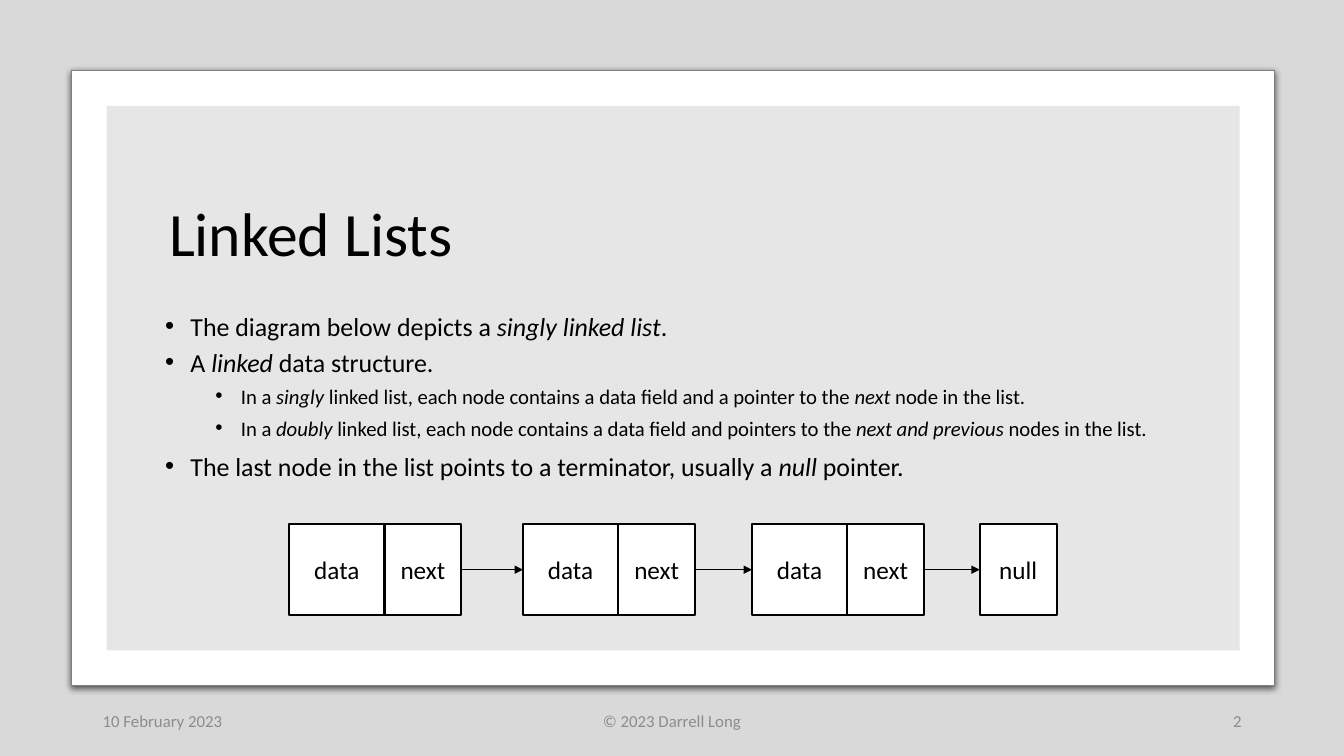
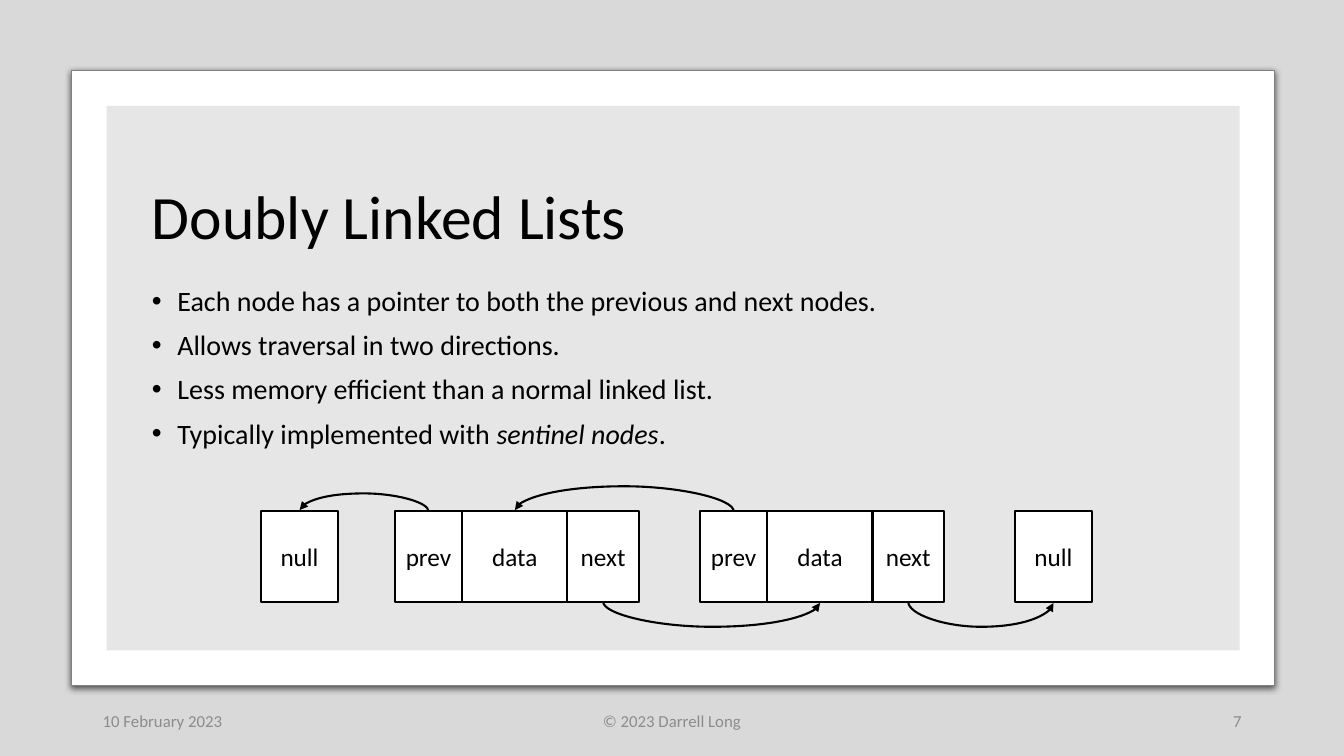
from lxml.etree import SubElement
from pptx import Presentation
from pptx.dml.color import RGBColor
from pptx.enum.shapes import MSO_CONNECTOR as Link, MSO_SHAPE as Preset
from pptx.enum.text import MSO_ANCHOR as Anchor, PP_ALIGN as Align
from pptx.oxml import parse_xml
from pptx.oxml.ns import nsdecls, qn
from pptx.util import Cm, Pt

BLACK = RGBColor(0x00, 0x00, 0x00)
WHITE = RGBColor(0xFF, 0xFF, 0xFF)
BACKDROP = RGBColor(0xD9, 0xD9, 0xD9)
PANEL = RGBColor(0xE7, 0xE6, 0xE6)
EDGE = RGBColor(0x80, 0x80, 0x80)
FOOTER = RGBColor(0x8C, 0x8C, 0x8C)

FOOTER_TOP, FOOTER_HEIGHT = 17.65, 1.02
TEXT_WIDTH, TITLE_HEIGHT = 26.77, 3.96
CELL_HEIGHT = 2.31
HANGING = 0.64
CURVE_DEPTH = 0.03


def write(shape, text, size=18, color=BLACK, align=Align.LEFT, anchor=Anchor.MIDDLE,
          spacing=1.0, before=0, bullet_indent=None, level=0):
    frame = shape.text_frame
    frame.word_wrap = True
    frame.vertical_anchor = anchor
    paragraph = frame.paragraphs[0]
    if paragraph.runs:
        paragraph = frame.add_paragraph()
        paragraph.space_before = Pt(before)
    paragraph.alignment = align
    paragraph.line_spacing = spacing
    paragraph.level = level
    if bullet_indent is not None:
        properties = paragraph._p.get_or_add_pPr()
        properties.set("marL", str(Cm(bullet_indent)))
        properties.set("indent", str(-Cm(HANGING)))
        bullet_color = SubElement(properties, qn("a:buClr"))
        SubElement(bullet_color, qn("a:srgbClr"), val=str(color))
        SubElement(properties, qn("a:buFont"), typeface="Arial")
        SubElement(properties, qn("a:buChar"), char="•")
    for position, part in enumerate(text.split("*")):
        if part:
            run = paragraph.add_run()
            run.text = part
            run.font.name = "Calibri"
            run.font.size = Pt(size)
            run.font.color.rgb = color
            run.font.italic = position % 2 == 1


def make_arrow(connector, width):
    connector.line.color.rgb = BLACK
    connector.line.width = Pt(width)
    SubElement(connector.line._get_or_add_ln(), qn("a:tailEnd"), type="triangle")
    SubElement(connector._element.spPr, qn("a:effectLst"))


single_node = [("data", 2.4), ("next", 1.94)]
double_node = [("prev", 1.7), ("data", 2.65), ("next", 1.8)]
null_node = [("null", 1.94)]

topics = [
    {
        "title": "Linked Lists", "title_at": (4.01, 3.99), "number": "2",
        "points_box": (7.92, 4.65), "sizes": (18.5, 14.8), "indents": (0.97, 2.24),
        "spacing": 0.7,
        "points": [
            (0, 10, "The diagram below depicts a *singly linked list*."),
            (0, 10, "A *linked *data structure."),
            (1, 10, "In a *singly* linked list, each node contains a data field "
                    "and a pointer to the *next* node in the list."),
            (1, 10, "In a *doubly *linked list, each node contains a data field "
                    "and pointers to the *next and previous *nodes in the list."),
            (0, 14.2, "The last node in the list points to a terminator, "
                      "usually a *null* pointer."),
        ],
        "row_top": 13.2,
        "nodes": [(7.29, single_node), (13.18, single_node),
                  (18.95, single_node), (24.69, null_node)],
        "straight": [(1, 2), (3, 4), (5, 6)], "curved": [],
    },
    {
        "title": "Doubly Linked Lists", "title_at": (3.58, 3.56), "number": "7",
        "points_box": (7.11, 8.36), "sizes": (20,), "indents": (HANGING,),
        "spacing": 0.9,
        "points": [
            (0, 10, "Each node has a pointer to both the previous and next nodes."),
            (0, 10, "Allows traversal in two directions."),
            (0, 10, "Less memory efficient than a normal linked list."),
            (0, 10, "Typically implemented with *sentinel nodes*."),
        ],
        "row_top": 12.87,
        "nodes": [(6.58, null_node), (9.95, double_node),
                  (17.64, double_node), (25.58, null_node)],
        "straight": [],
        "curved": [(1, 0, 0.45), (4, 2, 0.63), (3, 5, 0.63), (6, 7, 0.63)],
    },
]

deck = Presentation()
deck.slide_width, deck.slide_height = Cm(33.87), Cm(19.05)

for topic in topics:
    slide = deck.slides.add_slide(deck.slide_layouts[6])
    shapes = slide.shapes
    slide.background.fill.solid()
    slide.background.fill.fore_color.rgb = BACKDROP

    card = shapes.add_shape(Preset.RECTANGLE, Cm(1.8), Cm(1.78), Cm(30.33), Cm(15.49))
    panel = shapes.add_shape(Preset.RECTANGLE, Cm(2.69), Cm(2.67), Cm(28.55), Cm(13.72))
    for sheet, color in ((card, WHITE), (panel, PANEL)):
        sheet.shadow.inherit = False
        sheet.fill.solid()
        sheet.fill.fore_color.rgb = color
    card.line.color.rgb = EDGE
    card.line.width = Pt(0.75)
    panel.line.fill.background()
    card._element.spPr.find(qn("a:effectLst")).append(parse_xml(
        f'<a:outerShdw {nsdecls("a")} blurRad="{Pt(4.5)}" dist="{Pt(1.5)}" dir="5400000">'
        '<a:srgbClr val="000000"><a:alpha val="63000"/></a:srgbClr></a:outerShdw>'))

    left, top = topic["title_at"]
    title = shapes.add_textbox(Cm(left), Cm(top), Cm(TEXT_WIDTH), Cm(TITLE_HEIGHT))
    write(title, topic["title"], size=44, spacing=0.9)

    top, height = topic["points_box"]
    points = shapes.add_textbox(Cm(3.58), Cm(top), Cm(TEXT_WIDTH), Cm(height))
    for level, before, text in topic["points"]:
        write(points, text, size=topic["sizes"][level], anchor=Anchor.TOP,
              spacing=topic["spacing"], before=before,
              bullet_indent=topic["indents"][level], level=level)

    for left, width, text, align in (
        (2.34, 7.62, "10 February 2023", Align.LEFT),
        (11.22, 11.43, "© 2023 Darrell Long", Align.CENTER),
        (23.92, 7.62, topic["number"], Align.RIGHT),
    ):
        footer = shapes.add_textbox(Cm(left), Cm(FOOTER_TOP), Cm(width), Cm(FOOTER_HEIGHT))
        write(footer, text, size=12, color=FOOTER, align=align)

    cells = []
    for left, fields in topic["nodes"]:
        for label, width in fields:
            cell = shapes.add_shape(Preset.RECTANGLE, Cm(left), Cm(topic["row_top"]),
                                    Cm(width), Cm(CELL_HEIGHT))
            cell.shadow.inherit = False
            cell.fill.solid()
            cell.fill.fore_color.rgb = WHITE
            cell.line.color.rgb = BLACK
            cell.line.width = Pt(1.5)
            cell.text_frame.margin_left = cell.text_frame.margin_right = 0
            write(cell, label, align=Align.CENTER)
            cells.append(cell)
            left += width

    for source, target in topic["straight"]:
        pointer = shapes.add_connector(Link.STRAIGHT, 0, 0, 0, 0)
        pointer.begin_connect(cells[source], 3)
        pointer.end_connect(cells[target], 1)
        make_arrow(pointer, 1)

    for source, target, bulge in topic["curved"]:
        start, end = (cells[i].left + cells[i].width // 2 for i in (source, target))
        backward = end < start
        edge = cells[source].top + (0 if backward else cells[source].height)
        middle, half_span = (start + end) // 2, abs(end - start) // 2
        half_depth = Cm(CURVE_DEPTH) // 2
        pointer = shapes.add_connector(Link.CURVE, middle - half_depth, edge - half_span,
                                       middle + half_depth, edge + half_span)
        turn = pointer._element.spPr.find(qn("a:xfrm"))
        turn.set("rot", "16200000")
        turn.set("flipV" if backward else "flipH", "1")
        guides = pointer._element.spPr.find(qn("a:prstGeom")).find(qn("a:avLst"))
        SubElement(guides, qn("a:gd"), name="adj1",
                   fmla=f"val {round(bulge / CURVE_DEPTH * 100000)}")
        make_arrow(pointer, 1.5)

deck.save("out.pptx")
